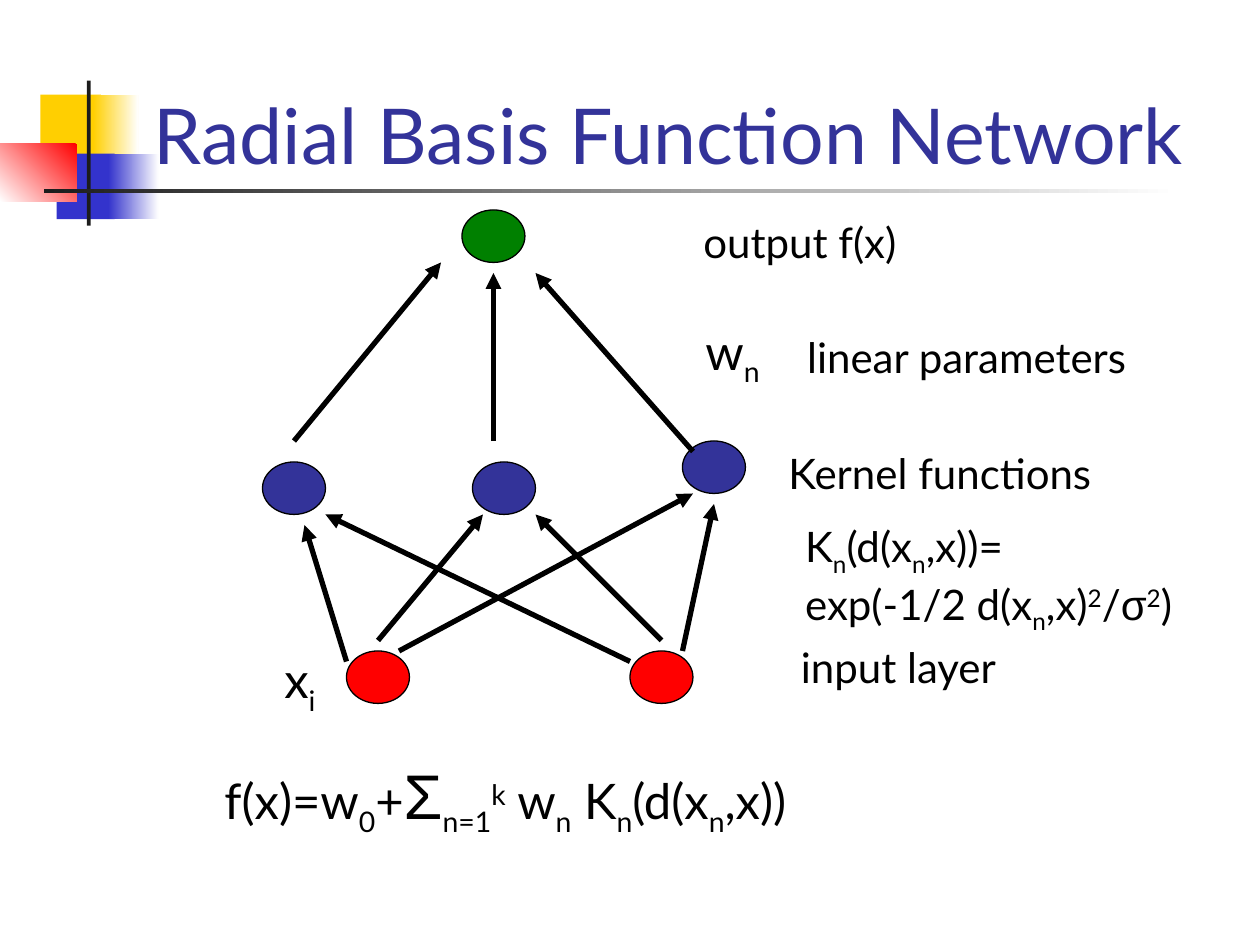
import dataclasses

import pptx
import pptx.dml.color
import pptx.enum.shapes
import pptx.enum.text
import pptx.oxml.ns
import pptx.util
from lxml import etree

SHAPE = pptx.enum.shapes.MSO_SHAPE
AUTO = pptx.enum.text.MSO_AUTO_SIZE


@dataclasses.dataclass(frozen=True)
class Theme:
    font: str = "Lato"
    greek_font: str = "Arial"
    title: int = 44
    label: int = 24
    formula: int = 28
    sigma: int = 36
    black: str = "000000"
    white: str = "FFFFFF"
    navy: str = "333399"
    red: str = "FF0000"
    green: str = "008000"
    yellow: str = "FFCF01"
    blue: str = "3333CC"
    dark: str = "1C1C1C"


T = Theme()


def rgb(color):
    return pptx.dml.color.RGBColor.from_string(color)


def write(tf, text, size=T.label, color=T.black, sum_size=T.sigma):
    """Fill tf; newlines part paragraphs, bars part runs, _ and ^ lead sub- and superscripts."""
    for i, row in enumerate(text.split("\n")):
        p = tf.add_paragraph() if i else tf.paragraphs[0]
        p.alignment = pptx.enum.text.PP_ALIGN.LEFT
        for part in row.split("|"):
            r = p.add_run()
            shift = {"_": "-25000", "^": "30000"}.get(part[0])
            r.text = part[1:] if shift else part
            r.font.name = T.greek_font if part in "σΣ" else T.font
            r.font.size = pptx.util.Pt(sum_size if part == "Σ" else size)
            r.font.color.rgb = rgb(color)
            if shift:
                r._r.get_or_add_rPr().set("baseline", shift)


class Deck:
    """Draws styled elements on one slide, over a grid of 120 columns by 90 rows."""

    def __init__(self):
        self.prs = pptx.Presentation()
        self.prs.slide_width = pptx.util.Inches(10)
        self.prs.slide_height = pptx.util.Inches(7.5)
        self.s = self.prs.slides.add_slide(self.prs.slide_layouts[5])

    def grid(self, *cells):
        sides = (self.prs.slide_width / 120, self.prs.slide_height / 90)
        return [pptx.util.Emu(round(n * sides[i % 2])) for i, n in enumerate(cells)]

    def shape(self, kind, box, color):
        sp = self.s.shapes.add_shape(kind, *self.grid(*box))
        sp.shadow.inherit = False
        sp.fill.solid()
        sp.fill.fore_color.rgb = rgb(color)
        sp.line.fill.background()
        return sp

    def block(self, box, color, fade=None):
        sp = self.shape(SHAPE.RECTANGLE, box, color)
        if fade is not None:
            sp.fill.gradient()
            sp.fill.gradient_angle = fade
            for stop, tint in zip(sp.fill.gradient_stops, (color, T.white)):
                stop.color.rgb = rgb(tint)

    def node(self, x, y, color):
        sp = self.shape(SHAPE.OVAL, (x, y, 6, 5), color)
        sp.line.color.rgb = rgb(T.black)
        sp.line.width = pptx.util.Pt(0.75)

    def arrow(self, *ends):
        c = self.s.shapes.add_connector(
            pptx.enum.shapes.MSO_CONNECTOR.STRAIGHT, *self.grid(*ends))
        c.line.color.rgb = rgb(T.black)
        c.line.width = pptx.util.Pt(3)
        qn = pptx.oxml.ns.qn
        spPr = c._element.spPr
        etree.SubElement(spPr.find(qn("a:ln")), qn("a:tailEnd"), type="triangle")
        etree.SubElement(spPr, qn("a:effectLst"))

    def title(self, box, text):
        sp = self.s.shapes.title
        sp.left, sp.top, sp.width, sp.height = self.grid(*box)
        tf = sp.text_frame
        tf.auto_size = AUTO.NONE
        tf.vertical_anchor = pptx.enum.text.MSO_ANCHOR.BOTTOM
        write(tf, text, size=T.title, color=T.navy)
        self.s.shapes._spTree.append(sp._element)

    def text(self, box, text, **fmt):
        tf = self.s.shapes.add_textbox(*self.grid(*box)).text_frame
        tf.word_wrap = False
        tf.auto_size = AUTO.SHAPE_TO_FIT_TEXT
        write(tf, text, **fmt)


def main():
    d = Deck()
    for box, color, fade in (
        ((3.84, 9, 5.76, 6.24), T.yellow, None),
        ((8.88, 9, 4.32, 6.24), T.yellow, 0),
        ((5.4, 14.64, 5.52, 6.24), T.blue, None),
        ((10.32, 14.64, 4.8, 6.24), T.blue, 0),
        ((0, 13.68, 7.32, 5.52), T.red, 225),
        ((8.28, 7.68, 0.36, 13.8), T.dark, None),
        ((4.2, 18, 108, 0.36), T.dark, 0),
    ):
        d.block(box, color, fade)
    d.title((13.44, 2.76, 102.24, 15), "Radial Basis Function Network")

    for color, places in (
        (T.red, ((33, 62), (60, 62))),
        (T.navy, ((65, 42), (45, 44), (25, 44))),
        (T.green, ((44, 20),)),
    ):
        for x, y in places:
            d.node(x, y, color)

    for ends in (
        (38, 62, 66, 47), (36, 61, 46, 49), (33, 63, 29, 50),
        (65, 62, 68, 48), (63, 61, 51, 49), (60, 63, 31, 49),
        (28, 42, 42, 25), (47, 42, 47, 26), (66, 43, 51, 26),
    ):
        d.arrow(*ends)

    for box, text in (
        ((65.8, 20, 22, 6), "output f(x)"),
        ((75.7, 31, 36, 6), "linear parameters"),
        ((73.9, 42, 33.1, 6), "Kernel functions"),
        ((75.5, 49, 38.2, 12.1),
         "K|_n|(d(x|_n|,x))=\nexp(-1/2 d(x|_n|,x)|^2|/|σ|^2|)"),
        ((75.1, 60.5, 22.6, 6), "input layer"),
    ):
        d.text(box, text)
    for box, text in (
        ((66, 30, 7.7, 7.6), "w|_n"),
        ((25.9, 61.3, 5.5, 7.6), "x|_i"),
        ((20.2, 71.5, 58.1, 8.9),
         "f(x)=w|_0|+|Σ|_n=1|^k| w|_n| K|_n|(d(x|_n|,x))"),
    ):
        d.text(box, text, size=T.formula)
    d.prs.save("out.pptx")


if __name__ == "__main__":
    main()
